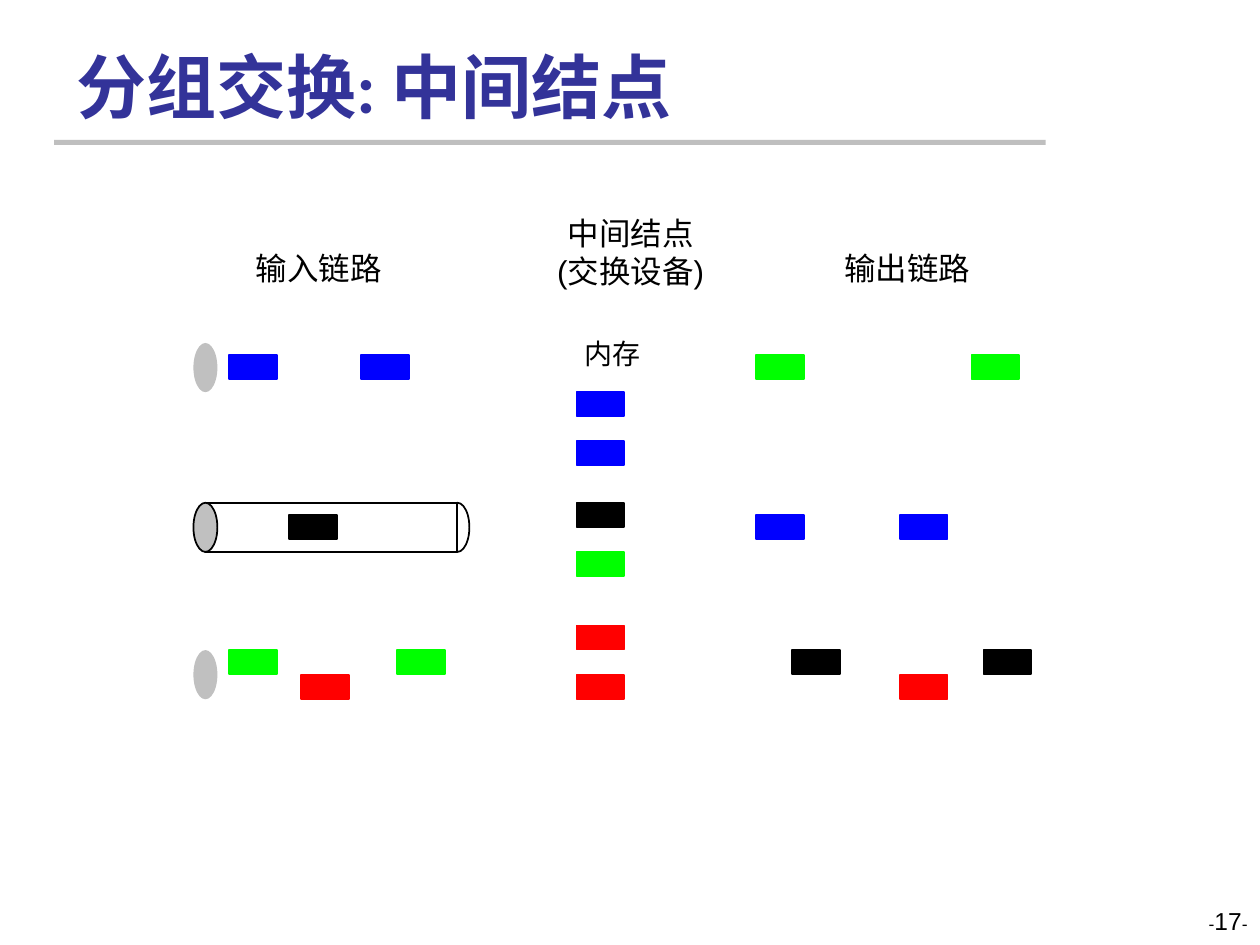
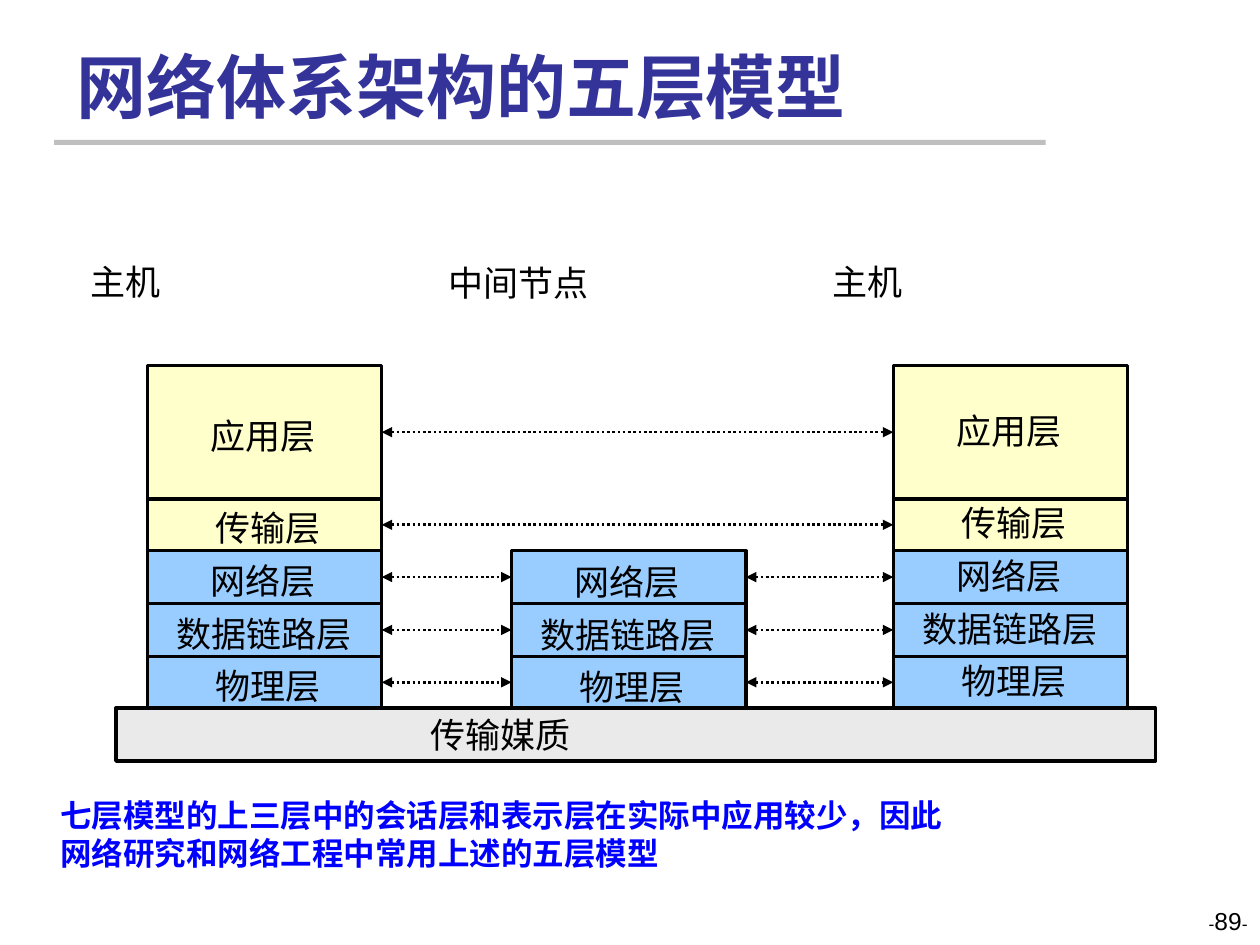
from lxml import etree
from pptx import Presentation
from pptx import util as u
from pptx.dml.color import RGBColor
from pptx.enum import dml, shapes, text
from pptx.oxml import ns

# Shared style
BLACK, WHITE = RGBColor(0, 0, 0), RGBColor(255, 255, 255)
NAVY, RULE_GRAY = RGBColor(0x33, 0x33, 0x99), RGBColor(0xBF, 0xBF, 0xBF)
CAP_GRAY, MEDIUM_GRAY = RGBColor(0xC0, 0xC0, 0xC0), RGBColor(0xEA, 0xEA, 0xEA)
BLUE, GREEN, RED = RGBColor(0, 0, 255), RGBColor(0, 255, 0), RGBColor(255, 0, 0)
CREAM, SKY = RGBColor(0xFF, 0xFF, 0xCC), RGBColor(0x99, 0xCC, 0xFF)
RECT, OVAL = shapes.MSO_SHAPE.RECTANGLE, shapes.MSO_SHAPE.OVAL
LEFT, CENTER, RIGHT = text.PP_ALIGN.LEFT, text.PP_ALIGN.CENTER, text.PP_ALIGN.RIGHT

# Packet switching: (column, row) of each packet, on a fine grid
PACKET_W, PACKET_H, PIPE_H = 0.38, 0.19, 0.39
GRID_X, GRID_Y = 1.82, 2.82
COL, ROW = PACKET_H / 2, PIPE_H / 4
PACKETS = {
    BLUE: [(0, 0), (11, 0), (29, 3), (29, 7), (44, 13), (56, 13)],
    BLACK: [(5, 13), (29, 12), (47, 24), (63, 24)],
    GREEN: [(0, 24), (14, 24), (29, 16), (44, 0), (62, 0)],
    RED: [(6, 26), (29, 26), (29, 22), (56, 26)],
}
CAP_COL, PIPE_ROW, BARE_CAP_ROWS = -3, 12, (-1, 24)
LINK_LABELS = [  # lines, box, size, inset
    (["输入链路"], (1.03, 1.98, 3, 0.3), 18, 0),
    (["输出链路"], (5.7, 1.98, 3, 0.3), 18, 0),
    (["中间结点", "(交换设备)"], (3.36, 1.7, 3.29, 0.9), 18, 0),
    (["内存"], (3.54, 2.62, 2.64, 0.36), 16, 0.1),
]

# Five-layer model
LAYERS = [  # name, top, fill, label offset, label width
    ("应用层", 2.9, CREAM, 0.05, 1.73),
    ("传输层", 3.96, CREAM, 0.13, 1.65),
    ("网络层", 4.37, SKY, 0.05, 1.73),
    ("数据链路层", 4.79, SKY, 0.05, 1.75),
    ("物理层", 5.21, SKY, 0.13, 1.65),
]
NODES = [  # name, name box, left of stack, first layer, label drop
    ("主机", (0.62, 2.02, 2.75, 0.44), 1.17, 0, 0.03),
    ("中间节点", (3.46, 2.03, 3.31, 0.44), 4.06, 2, 0.04),
    ("主机", (6.51, 2.02, 2.75, 0.44), 7.09, 0, -0.01),
]
STACK_W, LABEL_H, MEDIUM_TOP = 1.86, 0.44, 5.62
NOTE = ["七层模型的上三层中的会话层和表示层在实际中应用较少，因此",
        "网络研究和网络工程中常用上述的五层模型"]


def inches(box):
    return [u.Inches(length) for length in box]


def add_block(slide, kind, box, fill, line=None, width=1):
    block = slide.shapes.add_shape(kind, *inches(box))
    block.shadow.inherit = False
    block.fill.solid()
    block.fill.fore_color.rgb = fill
    if line is None:
        block.line.fill.background()
    else:
        block.line.color.rgb = line
        block.line.width = u.Pt(width)
    return block


def style(font, size, color=BLACK, bold=False, face="Arial"):
    font.name, font.size, font.bold = face, u.Pt(size), bold
    font.color.rgb = color


def add_text(slide, lines, box, size, align=LEFT, inset=0.1, **look):
    frame = slide.shapes.add_textbox(*inches(box)).text_frame
    frame.word_wrap = True
    frame.margin_left = frame.margin_right = u.Inches(inset)
    frame.margin_top = frame.margin_bottom = u.Inches(inset / 2)
    frame.text = "\n".join(lines)
    for paragraph in frame.paragraphs:
        paragraph.alignment = align
        for run in paragraph.runs:
            style(run.font, size, **look)
    return frame


def add_peer_arrow(slide, start, end):
    arrow = slide.shapes.add_connector(shapes.MSO_CONNECTOR.STRAIGHT, 0, 0, 0, 0)
    arrow.begin_connect(start, 3)
    arrow.end_connect(end, 1)
    arrow.line.color.rgb = BLACK
    arrow.line.width = u.Pt(1.5)
    arrow.line.dash_style = dml.MSO_LINE.ROUND_DOT
    line = arrow.line._get_or_add_ln()
    for tip in ("a:headEnd", "a:tailEnd"):
        etree.SubElement(line, ns.qn(tip), type="triangle")
    etree.SubElement(arrow._element.spPr, ns.qn("a:effectLst"))


def start_slide(prs, title, number):
    slide = prs.slides.add_slide(prs.slide_layouts[6])
    add_block(slide, RECT, (0.43, 1.11, 7.87, 0.04), RULE_GRAY)
    heading = add_text(slide, [title], (0.51, 0.28, 8.25, 0.78), 40,
                       color=NAVY, bold=True, face="Calibri")
    heading.vertical_anchor = text.MSO_ANCHOR.BOTTOM
    footer = add_text(slide, ["-"], (7.67, 7.14, 2.33, 0.5), 10, RIGHT)
    for part, size in ((str(number), 14), ("-", 10)):
        run = footer.paragraphs[0].add_run()
        run.text = part
        style(run.font, size)
    return slide


def grid_box(col, row, width, height):
    return GRID_X + col * COL, GRID_Y + row * ROW, width, height


def build_switching(prs):
    slide = start_slide(prs, "分组交换: 中间结点", 17)

    # Input links: one full pipe, the others only as their ends
    cap = grid_box(CAP_COL, PIPE_ROW, PACKET_H, PIPE_H)
    left, top = cap[:2]
    add_block(slide, OVAL, (left + 2, *cap[1:]), WHITE, BLACK)
    add_block(slide, RECT, (left + PACKET_H / 2, top, 2, PIPE_H), WHITE, BLACK)
    add_block(slide, OVAL, cap, CAP_GRAY, BLACK)
    for row in BARE_CAP_ROWS:
        add_block(slide, OVAL, grid_box(CAP_COL, row, PACKET_H, PIPE_H), CAP_GRAY)

    for lines, box, size, inset in LINK_LABELS:
        add_text(slide, lines, box, size, CENTER, inset)
    for color, places in PACKETS.items():
        for col, row in places:
            add_block(slide, RECT, grid_box(col, row, PACKET_W, PACKET_H), color, color)


def build_layers(prs):
    slide = start_slide(prs, "网络体系架构的五层模型", 89)
    bottoms = [layer[1] for layer in LAYERS[1:]] + [MEDIUM_TOP]
    peers = [[] for _ in LAYERS]

    # Stacks of layers, standing on the medium
    for _, _, left, first, _ in NODES:
        for i in range(first, len(LAYERS)):
            _, top, fill, _, _ = LAYERS[i]
            box = left, top, STACK_W, bottoms[i] - top
            peers[i].append(add_block(slide, RECT, box, fill, BLACK, 2))
    add_block(slide, RECT, (0.92, MEDIUM_TOP, 8.25, 0.42), MEDIUM_GRAY, BLACK, 2)
    add_text(slide, ["传输媒质"], (3.32, 5.61, 3.31, LABEL_H), 20)

    # Each layer talks to its neighbouring peer
    for row in peers:
        for start, end in zip(row, row[1:]):
            add_peer_arrow(slide, start, end)

    # Names of nodes and layers
    for node, node_box, left, first, drop in NODES:
        add_text(slide, [node], node_box, 20)
        for i in range(first, len(LAYERS)):
            name, top, _, offset, width = LAYERS[i]
            label_top = (top + bottoms[i] - LABEL_H) / 2 + drop
            add_text(slide, [name], (left + offset, label_top, width, LABEL_H), 20, CENTER)
    add_text(slide, NOTE, (0.38, 6.27, 9.2, 0.7), 18, color=BLUE, bold=True)


def main():
    prs = Presentation()
    prs.slide_width, prs.slide_height = u.Inches(10), u.Inches(7.5)
    build_switching(prs)
    build_layers(prs)
    prs.save("out.pptx")


if __name__ == "__main__":
    main()
